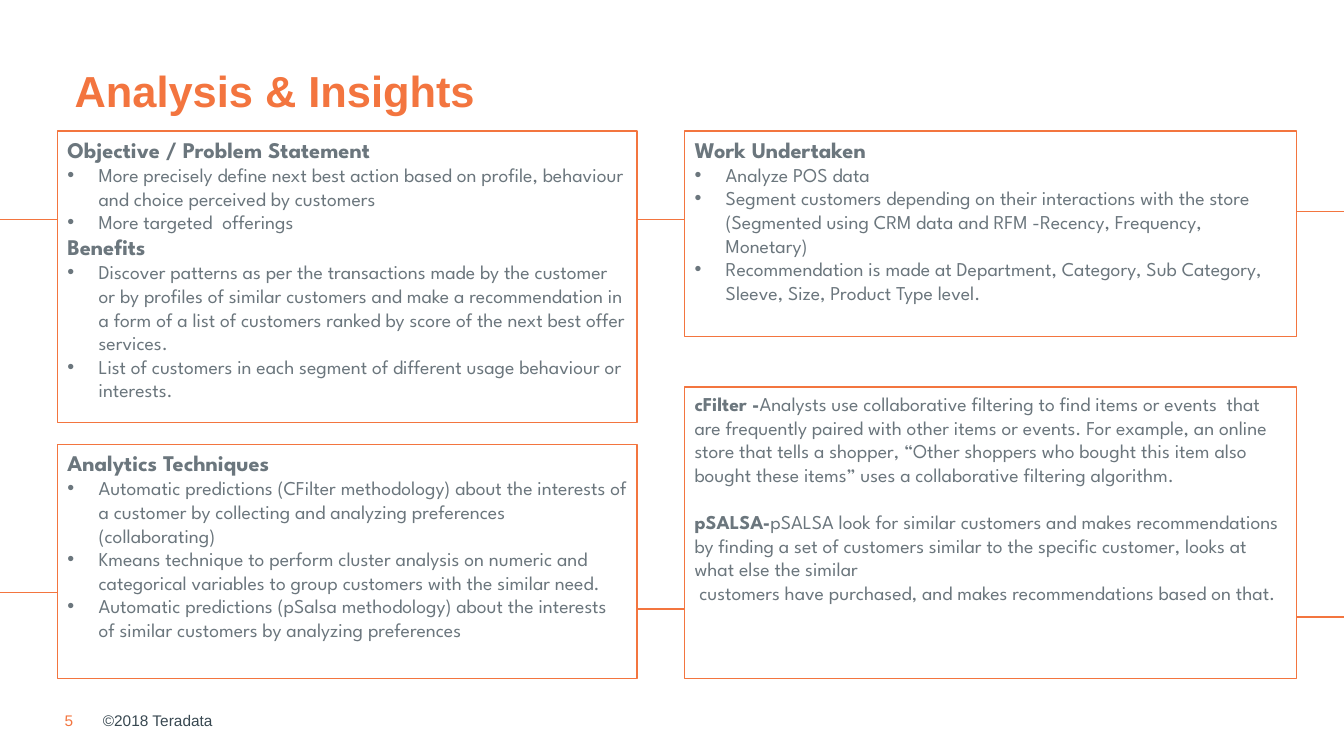
from lxml import etree
from pptx import Presentation
from pptx.dml.color import RGBColor
from pptx.enum.shapes import MSO_CONNECTOR as CONN, MSO_SHAPE as SHAPE
from pptx.enum.text import MSO_ANCHOR as ANCHOR, MSO_AUTO_SIZE as AUTO, PP_ALIGN as ALIGN
from pptx.oxml.ns import qn
from pptx.util import Inches, Pt

ORANGE = RGBColor(0xF3, 0x75, 0x3F)
GREY = RGBColor(0x6B, 0x76, 0x7D)
SLATE = RGBColor(0x38, 0x48, 0x51)

HEADING = {"name": "League Spartan", "size": Pt(16), "bold": True}
BODY = {"name": "League Spartan", "size": Pt(14), "bold": False}
TERM = {**BODY, "bold": True}
TITLE = {"name": "Arial", "size": Pt(31), "bold": True}
FOOTER = {"name": "Arial", "size": Pt(11), "bold": False}


class Deck:
    def __init__(self):
        self.prs = Presentation()
        self.prs.slide_width, self.prs.slide_height = Inches(13.33), Inches(7.5)
        self.s = self.prs.slides.add_slide(self.prs.slide_layouts[5])

    def run(self, p, text, style, color):
        r = p.add_run()
        r.text = text
        for key, value in style.items():
            setattr(r.font, key, value)
        r.font.color.rgb = color

    def title(self, text, x, y, w, h):
        sp = self.s.shapes.title
        sp.left, sp.top, sp.width, sp.height = map(Inches, (x, y, w, h))
        tf = sp.text_frame
        tf.auto_size, tf.vertical_anchor = AUTO.NONE, ANCHOR.BOTTOM
        p = tf.paragraphs[0]
        p.alignment, p.line_spacing = ALIGN.LEFT, 0.9
        self.run(p, text, TITLE, ORANGE)

    def label(self, text, x, y, w, h, color):
        tf = self.s.shapes.add_textbox(*map(Inches, (x, y, w, h))).text_frame
        tf.margin_left = tf.margin_right = tf.margin_top = tf.margin_bottom = 0
        tf.vertical_anchor = ANCHOR.MIDDLE
        self.run(tf.paragraphs[0], text, FOOTER, color)

    def bullet(self, p):
        pPr = p._p.get_or_add_pPr()
        pPr.set("marL", str(Inches(0.31)))
        pPr.set("indent", str(-Inches(0.31)))
        etree.SubElement(pPr, qn("a:buFont"), typeface="Arial")
        etree.SubElement(pPr, qn("a:buChar"), char="•")

    def panel(self, x, y, w, h):
        """Draw an outlined box and return its text frame."""
        sp = self.s.shapes.add_shape(SHAPE.RECTANGLE, *map(Inches, (x, y, w, h)))
        sp.shadow.inherit = False
        sp.fill.background()
        sp.line.color.rgb, sp.line.width = ORANGE, Pt(1)
        tf = sp.text_frame
        tf.word_wrap, tf.vertical_anchor = True, ANCHOR.TOP
        return tf

    def paragraph(self, tf, runs, bulleted=False, gap=0):
        p = tf.paragraphs[0]
        if p.runs:
            p = tf.add_paragraph()
        p.alignment = ALIGN.LEFT
        if gap:
            p.space_before = Pt(gap)
        if bulleted:
            self.bullet(p)
        for text, style in runs:
            self.run(p, text, style, GREY)

    def sections(self, tf, content):
        for heading, points in content.items():
            self.paragraph(tf, [(heading, HEADING)])
            for point in points:
                self.paragraph(tf, [(point, BODY)], bulleted=True)

    def rule(self, x1, x2, y):
        line = self.s.shapes.add_connector(CONN.STRAIGHT, *map(Inches, (x1, y, x2, y)))
        line.line.color.rgb, line.line.width = ORANGE, Pt(1)
        etree.SubElement(line._element.spPr, qn("a:effectLst"))


OBJECTIVE = {
    "Objective / Problem Statement": [
        "More precisely define next best action based on profile, behaviour and choice "
        "perceived by customers",
        "More targeted  offerings",
    ],
    "Benefits": [
        "Discover patterns as per the transactions made by the customer or by profiles of "
        "similar customers and make a recommendation in a form of a list of customers "
        "ranked by score of the next best offer services.",
        "List of customers in each segment of different usage behaviour or interests.",
    ],
}
TECHNIQUES = {
    "Analytics Techniques": [
        "Automatic predictions (CFilter methodology) about the interests of a customer by "
        "collecting and analyzing preferences (collaborating)",
        "Kmeans technique to perform cluster analysis on numeric and categorical variables "
        "to group customers with the similar need.",
        "Automatic predictions (pSalsa methodology) about the interests of similar "
        "customers by analyzing preferences",
    ],
}
WORK = {
    "Work Undertaken": [
        "Analyze POS data",
        "Segment customers depending on their interactions with the store (Segmented using "
        "CRM data and RFM -Recency, Frequency, Monetary)",
        "Recommendation is made at Department, Category, Sub Category, Sleeve, Size, "
        "Product Type level.",
    ],
}
CFILTER = (
    "Analysts use collaborative filtering to find items or events  that are frequently "
    "paired with other items or events. For example, an online store that tells a shopper, "
    "“Other shoppers who bought this item also bought these items” uses a collaborative "
    "filtering algorithm."
)
PSALSA = (
    "pSALSA look for similar customers and makes recommendations by finding a set of "
    "customers similar to the specific customer, looks at what else the similar"
)
PSALSA_END = " customers have purchased, and makes recommendations based on that."

# Column edges
LEFT, LEFT_W = 0.57, 5.75
RIGHT, RIGHT_W = 6.79, 6.07
LEFT_END, RIGHT_END, SLIDE_END = LEFT + LEFT_W, RIGHT + RIGHT_W, 13.33


def main():
    deck = Deck()

    # Title and footer
    deck.title("Analysis & Insights", 0.64, 0.43, 11.5, 0.78)
    deck.label("5", 0.64, 7.05, 0.19, 0.19, ORANGE)
    deck.label("©2018 Teradata", 1.02, 7.05, 3, 0.19, SLATE)

    # Panels with headings and bullets
    for content, x, y, w, h in (
        (OBJECTIVE, LEFT, 1.3, LEFT_W, 2.89),
        (TECHNIQUES, LEFT, 4.41, LEFT_W, 2.32),
        (WORK, RIGHT, 1.3, RIGHT_W, 2.04),
    ):
        deck.sections(deck.panel(x, y, w, h), content)

    # Algorithm definitions
    tf = deck.panel(RIGHT, 3.84, RIGHT_W, 2.89)
    deck.paragraph(tf, [("cFilter -", TERM), (CFILTER, BODY)])
    deck.paragraph(tf, [("pSALSA-", TERM), (PSALSA, BODY)], gap=17)
    deck.paragraph(tf, [(PSALSA_END, BODY)])

    # Lines linking the panels across the slide
    for x1, x2, heights in (
        (0, LEFT, (2.18, 5.88)),
        (LEFT_END, RIGHT, (2.18, 6.04)),
        (RIGHT_END, SLIDE_END, (2.1, 6.12)),
    ):
        for y in heights:
            deck.rule(x1, x2, y)

    deck.prs.save("out.pptx")


if __name__ == "__main__":
    main()
